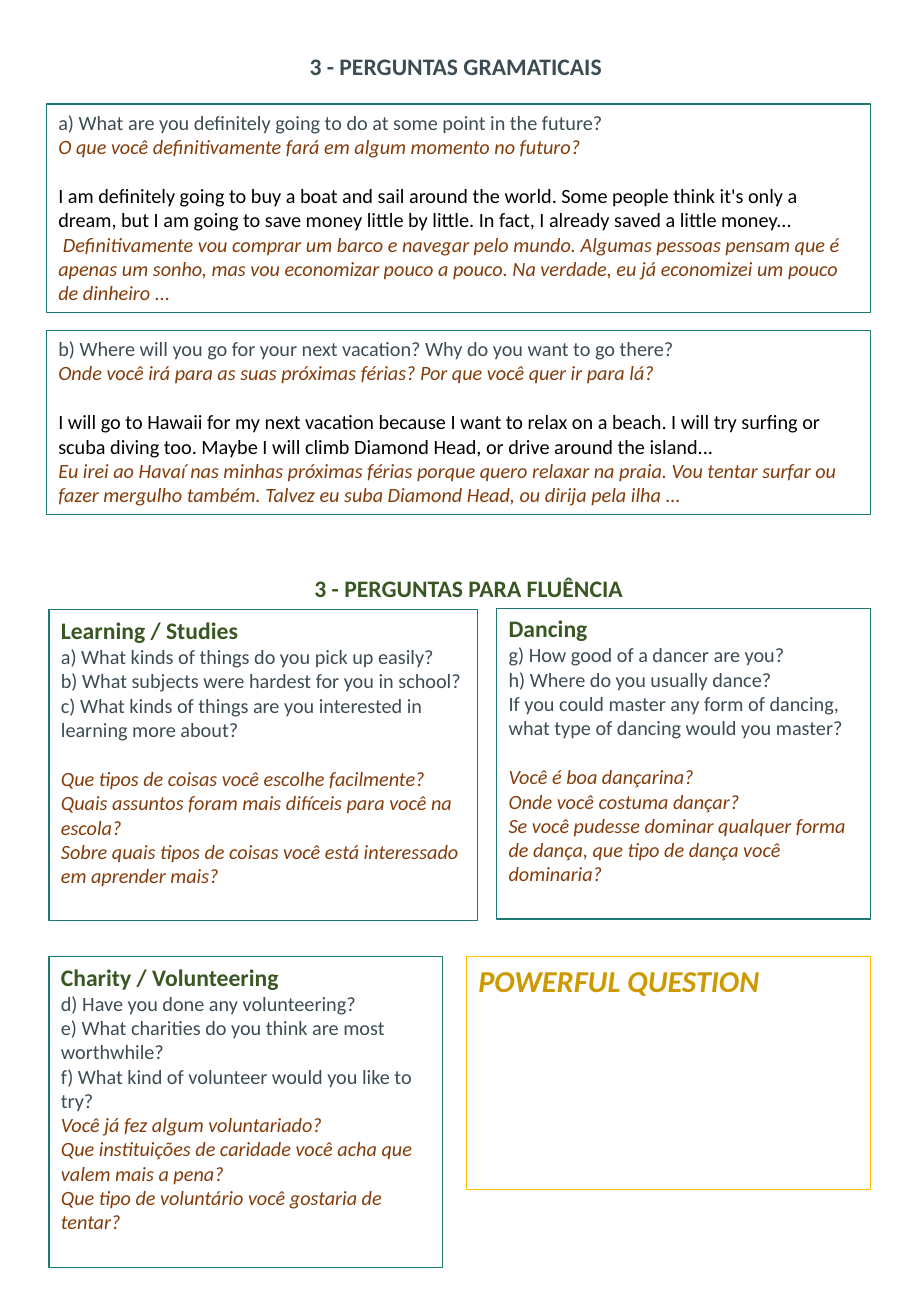
"""Build a one-page sheet of grammar and fluency questions in English and Portuguese."""
from pptx import Presentation
from pptx.dml.color import RGBColor
from pptx.enum import shapes, text
from pptx.util import Pt

TEAL = RGBColor(0x1F, 0x78, 0x72)
YELLOW = RGBColor(0xFF, 0xC0, 0x00)
SLATE = RGBColor(0x3D, 0x4C, 0x53)
BROWN = RGBColor(0x84, 0x3C, 0x0B)
BLACK = RGBColor(0x00, 0x00, 0x00)
GREEN = RGBColor(0x38, 0x57, 0x23)
GOLD = RGBColor(0xCC, 0x99, 0x00)

SECTION = (14, SLATE, True, False)
HEADING = (14, GREEN, True, False)
QUESTION = (12, SLATE, False, False)
ANSWER = (12, BLACK, False, False)
TRANSLATION = (12, BROWN, False, True)
POWERFUL = (18, GOLD, True, True)
LINE_GAP = 14.65

RIGHT = 516.25
GRAMMAR_LEFT, FLUENCY_LEFT = 27.5, 29


def write_groups(shape, groups):
    """Fill a shape with groups of (style, space before, lines)."""
    frame = shape.text_frame
    frame.vertical_anchor = text.MSO_ANCHOR.TOP
    frame.text = "\n".join(line for _, _, lines in groups for line in lines)
    paragraphs = iter(frame.paragraphs)
    for (size, colour, bold, italic), gap, lines in groups:
        for index in range(len(lines)):
            paragraph = next(paragraphs)
            paragraph.alignment = text.PP_ALIGN.LEFT
            if gap and index == 0:
                paragraph.space_before = Pt(gap)
            font = paragraph.runs[0].font
            font.name, font.size = "Calibri", Pt(size)
            font.bold, font.italic = bold, italic
            font.color.rgb = colour


presentation = Presentation()
presentation.slide_width, presentation.slide_height = Pt(540), Pt(779.76)
slide = presentation.slides.add_slide(presentation.slide_layouts[6])

titles = [
    (176.4, 27.4, 189.4, "3 - PERGUNTAS GRAMATICAIS", SECTION),
    (179.3, 336.6, 198.7, "3 - PERGUNTAS PARA FLUÊNCIA", HEADING),
]
for left, top, width, title, style in titles:
    box = slide.shapes.add_textbox(Pt(left), Pt(top), Pt(width), Pt(24.2))
    box.text_frame.word_wrap = False
    write_groups(box, [(style, 0, [title])])

boxes = [
    (GRAMMAR_LEFT, 61.6, RIGHT, 123.6, TEAL, [
        (QUESTION, 0, ["a) What are you definitely going to do at some point in the future?"]),
        (TRANSLATION, 0, ["O que você definitivamente fará em algum momento no futuro?"]),
        (ANSWER, LINE_GAP, [
            "I am definitely going to buy a boat and sail around the world. Some people think it's only a "
            "dream, but I am going to save money little by little. In fact, I already saved a little money..."]),
        (TRANSLATION, 0, [
            " Definitivamente vou comprar um barco e navegar pelo mundo. Algumas pessoas pensam que é "
            "apenas um sonho, mas vou economizar pouco a pouco. Na verdade, eu já economizei um pouco "
            "de dinheiro ..."]),
    ]),
    (GRAMMAR_LEFT, 195.8, RIGHT, 109, TEAL, [
        (QUESTION, 0, ["b) Where will you go for your next vacation? Why do you want to go there?"]),
        (TRANSLATION, 0, ["Onde você irá para as suas próximas férias? Por que você quer ir para lá?"]),
        (ANSWER, LINE_GAP, [
            "I will go to Hawaii for my next vacation because I want to relax on a beach. I will try surfing or "
            "scuba diving too. Maybe I will climb Diamond Head, or drive around the island..."]),
        (TRANSLATION, 0, [
            "Eu irei ao Havaí nas minhas próximas férias porque quero relaxar na praia. Vou tentar surfar ou "
            "fazer mergulho também. Talvez eu suba Diamond Head, ou dirija pela ilha ..."]),
    ]),
    (FLUENCY_LEFT, 361.4, 283, 184.2, TEAL, [
        (HEADING, 0, ["Learning / Studies"]),
        (QUESTION, 0, [
            "a) What kinds of things do you pick up easily?",
            "b) What subjects were hardest for you in school?",
            "c) What kinds of things are you interested in learning more about?"]),
        (TRANSLATION, LINE_GAP, [
            "Que tipos de coisas você escolhe facilmente?",
            "Quais assuntos foram mais difíceis para você na escola?",
            "Sobre quais tipos de coisas você está interessado em aprender mais?"]),
    ]),
    (294.4, 360.4, RIGHT, 184.2, TEAL, [
        (HEADING, 0, ["Dancing"]),
        (QUESTION, 0, [
            "g) How good of a dancer are you?",
            "h) Where do you usually dance?",
            "If you could master any form of dancing, what type of dancing would you master?"]),
        (TRANSLATION, LINE_GAP, [
            "Você é boa dançarina?",
            "Onde você costuma dançar?",
            "Se você pudesse dominar qualquer forma de dança, que tipo de dança você dominaria?"]),
    ]),
    (FLUENCY_LEFT, 566.8, 262.2, 184.2, TEAL, [
        (HEADING, 0, ["Charity / Volunteering"]),
        (QUESTION, 0, [
            "d) Have you done any volunteering?",
            "e) What charities do you think are most worthwhile?",
            "f) What kind of volunteer would you like to try?"]),
        (TRANSLATION, 0, [
            "Você já fez algum voluntariado?",
            "Que instituições de caridade você acha que valem mais a pena?",
            "Que tipo de voluntário você gostaria de tentar?"]),
    ]),
    (276.5, 566.8, RIGHT, 138.2, YELLOW, [
        (POWERFUL, 0, ["POWERFUL QUESTION"]),
    ]),
]
for left, top, right, height, outline, groups in boxes:
    box = slide.shapes.add_shape(
        shapes.MSO_SHAPE.RECTANGLE, Pt(left), Pt(top), Pt(right - left), Pt(height))
    box.shadow.inherit = False
    box.fill.background()
    box.line.color.rgb = outline
    box.line.width = Pt(0.75)
    box.text_frame.word_wrap = True
    write_groups(box, groups)

presentation.save("out.pptx")
